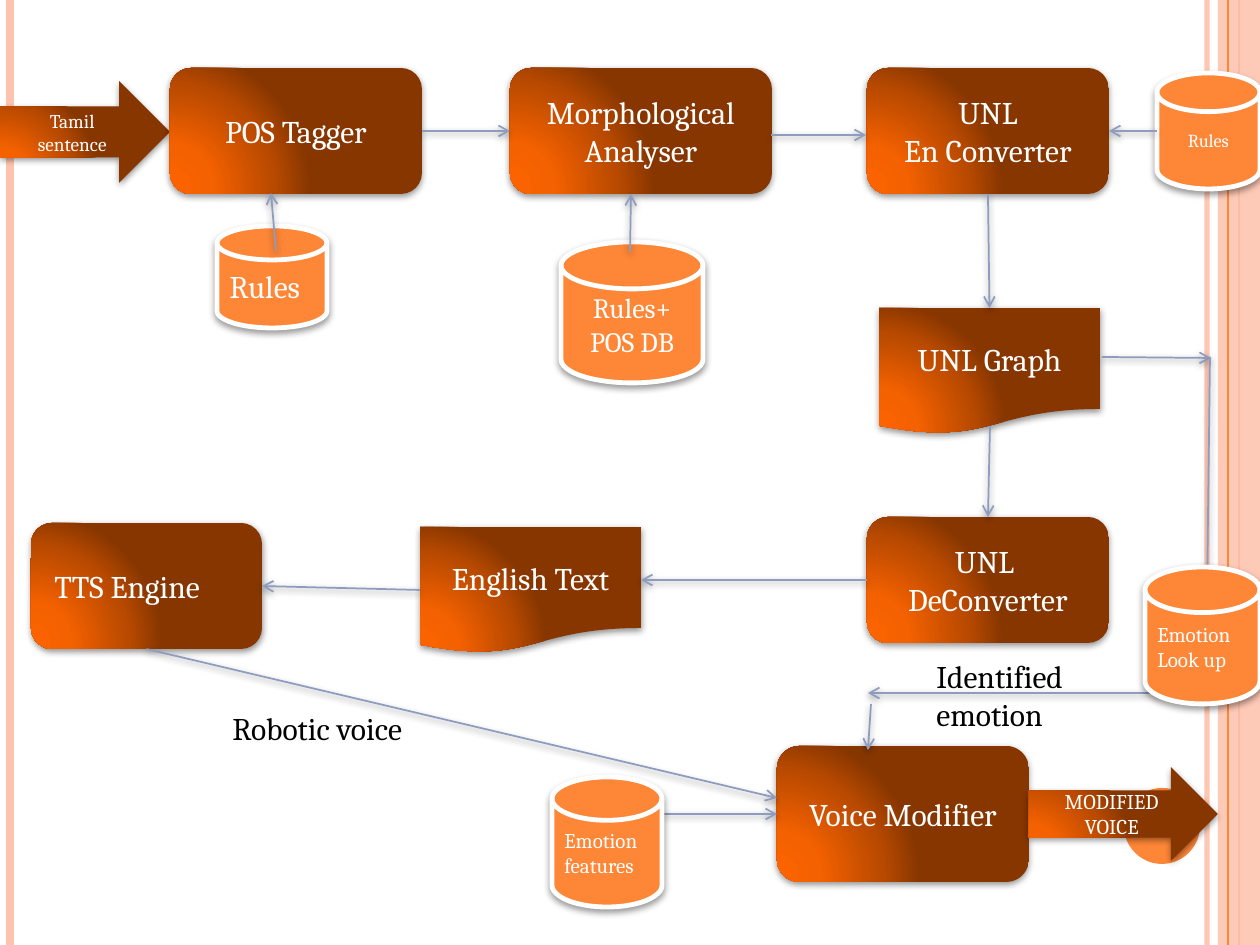
from lxml import etree
from pptx import Presentation
from pptx.dml.color import RGBColor
from pptx.enum.shapes import MSO_CONNECTOR, MSO_SHAPE
from pptx.enum.text import MSO_ANCHOR, PP_ALIGN
from pptx.oxml.ns import qn
from pptx.util import Pt

EMU_PER_PX = 914400 / 126
WIDTH, HEIGHT = 1260, 945
STRAIGHT = MSO_CONNECTOR.STRAIGHT
BOX, BLOCK_ARROW = MSO_SHAPE.ROUNDED_RECTANGLE, MSO_SHAPE.RIGHT_ARROW
DOCUMENT, DISK = MSO_SHAPE.FLOWCHART_DOCUMENT, MSO_SHAPE.FLOWCHART_MAGNETIC_DISK
RECTANGLE, OVAL = MSO_SHAPE.RECTANGLE, MSO_SHAPE.OVAL
LEFT, CENTER = PP_ALIGN.LEFT, PP_ALIGN.CENTER
MIDDLE = MSO_ANCHOR.MIDDLE
TOP_SIDE, LEFT_SIDE, BOTTOM_SIDE, RIGHT_SIDE = range(4)


def px(length):
    return round(length * EMU_PER_PX)


def color(hex_string):
    return RGBColor.from_string(hex_string)


def add_node(parent, tag, **attributes):
    return etree.SubElement(parent, qn(tag), {k: str(v) for k, v in attributes.items()})


def set_alpha(fill_parent, percent):
    solid_color = fill_parent.find(".//" + qn("a:srgbClr"))
    add_node(solid_color, "a:alpha", val=percent * 1000)


def add_shadow(effects, alpha, distance):
    shadow = add_node(effects, "a:outerShdw", blurRad=Pt(4), dist=Pt(distance),
                      dir=5400000, rotWithShape=0)
    add_node(add_node(shadow, "a:srgbClr", val="000000"), "a:alpha", val=alpha * 1000)


def write(frame, text, size=18, ink="FFFFFF", align=CENTER, font="Cambria"):
    """Put each line of the text in its own formatted paragraph."""
    frame.text = text
    for paragraph in frame.paragraphs:
        paragraph.alignment = align
        paragraph.font.size = Pt(size)
        paragraph.font.name = font
        paragraph.font.color.rgb = color(ink)


class Diagram:
    ORANGE, PEACH, LINK = "FE8637", "FEC3AE", "8D9CBF"
    GLOW = ((0, "FD6400"), (30, "F46100"), (75, "B74900"), (100, "873600"))

    def __init__(self, slide):
        self.shapes = slide.shapes

    def plain(self, kind, area, fill, alpha=100):
        shape = self.shapes.add_shape(kind, *map(px, area))
        shape.fill.solid()
        shape.fill.fore_color.rgb = color(fill)
        shape.line.fill.background()
        shape.shadow.inherit = False
        if alpha < 100:
            set_alpha(shape.fill._xPr, alpha)
        return shape

    def step(self, kind, area, text="", **style):
        """Add a process shape lit from its lower left corner."""
        shape = self.shapes.add_shape(kind, *map(px, area))
        shape.line.fill.background()
        shape.shadow.inherit = False
        properties = shape._element.spPr
        gradient = etree.Element(qn("a:gradFill"), rotWithShape="1")
        stops = add_node(gradient, "a:gsLst")
        for position, tone in self.GLOW:
            stop = add_node(stops, "a:gs", pos=position * 1000)
            add_node(stop, "a:srgbClr", val=tone)
        path = add_node(gradient, "a:path", path="circle")
        add_node(path, "a:fillToRect", l=5000, t=100000, r=120000, b=10000)
        properties.find(qn("a:prstGeom")).addnext(gradient)
        add_shadow(properties.find(qn("a:effectLst")), 42, 1.6)
        if text:
            shape.text_frame.vertical_anchor = MIDDLE
            write(shape.text_frame, text, **style)
        return shape

    def store(self, area, text, **style):
        """Add a database cylinder."""
        disk = self.plain(DISK, area, self.ORANGE)
        disk.line.color.rgb = color("FFFFFF")
        disk.line.width = Pt(2.75)
        add_shadow(disk._element.spPr.find(qn("a:effectLst")), 40, 2)
        disk.text_frame.vertical_anchor = MIDDLE
        write(disk.text_frame, text, **style)

    def line(self, start, end, ink, width, alpha=100):
        connector = self.shapes.add_connector(STRAIGHT, *map(px, (*start, *end)))
        connector.line.color.rgb = color(ink)
        connector.line.width = Pt(width)
        if alpha < 100:
            set_alpha(connector.line._ln, alpha)
        add_node(connector._element.spPr, "a:effectLst")
        return connector

    def link(self, start, end):
        """Draw an arrow; each end is an (x, y) point or a (shape, side) pair."""
        glued = [not isinstance(place[0], int) for place in (start, end)]
        points = [(0, 0) if joined else place for joined, place in zip(glued, (start, end))]
        arrow = self.line(*points, self.LINK, 1)
        if glued[0]:
            arrow.begin_connect(*start)
        if glued[1]:
            arrow.end_connect(*end)
        add_node(arrow.line._ln, "a:tailEnd", type="arrow")
        add_shadow(arrow._element.spPr.find(qn("a:effectLst")), 42, 1.6)

    def label(self, area, text, ink="000000"):
        frame = self.shapes.add_textbox(*map(px, area)).text_frame
        frame.word_wrap = False
        write(frame, text, ink=ink, align=LEFT)

    def rule(self, x, ink, width, alpha=100):
        self.line((x, 0), (x, HEIGHT), ink, width, alpha)


def main():
    deck = Presentation()
    deck.slide_width, deck.slide_height = px(WIDTH), px(HEIGHT)
    diagram = Diagram(deck.slides.add_slide(deck.slide_layouts[6]))

    diagram.rule(1207, diagram.PEACH, 3, 93)
    diagram.rule(10, diagram.PEACH, 4.5)
    diagram.rule(1239, diagram.ORANGE, 1.5)
    diagram.plain(RECTANGLE, (1218, 0, 42, HEIGHT), diagram.PEACH, 87)
    diagram.rule(1228, diagram.ORANGE, 0.75)
    diagram.plain(OVAL, (1124, 788, 76, 76), diagram.ORANGE)

    diagram.step(BLOCK_ARROW, (0, 81, 170, 102), "Tamil\nsentence", size=11)
    tagger = diagram.step(BOX, (170, 68, 252, 126), "POS Tagger")
    analyser = diagram.step(BOX, (510, 68, 262, 126), "Morphological\nAnalyser")
    converter = diagram.step(BOX, (867, 68, 242, 126), "UNL\nEn Converter")
    graph = diagram.step(DOCUMENT, (879, 308, 221, 126), "UNL Graph")
    deconverter = diagram.step(BOX, (867, 517, 242, 126), "UNL \nDeConverter")
    english = diagram.step(DOCUMENT, (420, 527, 221, 126), "English Text")
    speech = diagram.step(BOX, (31, 523, 231, 126))
    diagram.step(BOX, (777, 746, 252, 136), "Voice Modifier")
    diagram.step(BLOCK_ARROW, (1029, 767, 189, 94), "MODIFIED VOICE", size=12)

    diagram.store((217, 226, 110, 102), "Rules", align=LEFT)
    diagram.store((561, 242, 142, 141), "Rules+\nPOS DB", size=16)
    diagram.store((1157, 73, 103, 116), "Rules", size=10.5)

    for start, end in (
        ((tagger, RIGHT_SIDE), (analyser, LEFT_SIDE)),
        ((771, 135), (866, 135)),
        ((276, 251), (271, 193)),
        ((630, 252), (631, 194)),
        ((1157, 131), (converter, RIGHT_SIDE)),
        ((converter, BOTTOM_SIDE), (graph, TOP_SIDE)),
        ((990, 426), (deconverter, TOP_SIDE)),
        ((deconverter, LEFT_SIDE), (641, 580)),
        ((english, LEFT_SIDE), (speech, RIGHT_SIDE)),
        ((speech, BOTTOM_SIDE), (777, 798)),
        ((660, 814), (777, 814)),
        ((1102, 357), (1211, 358)),
        ((1210, 357), (1207, 598)),
        ((1207, 693), (868, 693)),
        ((871, 704), (868, 750)),
    ):
        diagram.link(start, end)

    diagram.label((220, 703, 241, 50), "Robotic voice")
    diagram.label((42, 561, 202, 50), "TTS Engine", ink="FFFFFF")
    diagram.label((924, 651, 180, 89), "Identified\nemotion")
    diagram.store((552, 777, 110, 130), "Emotion\nfeatures", size=12, align=LEFT)
    diagram.store((1145, 567, 115, 137), "Emotion\nLook up", size=12, align=LEFT)

    deck.save("out.pptx")


if __name__ == "__main__":
    main()
